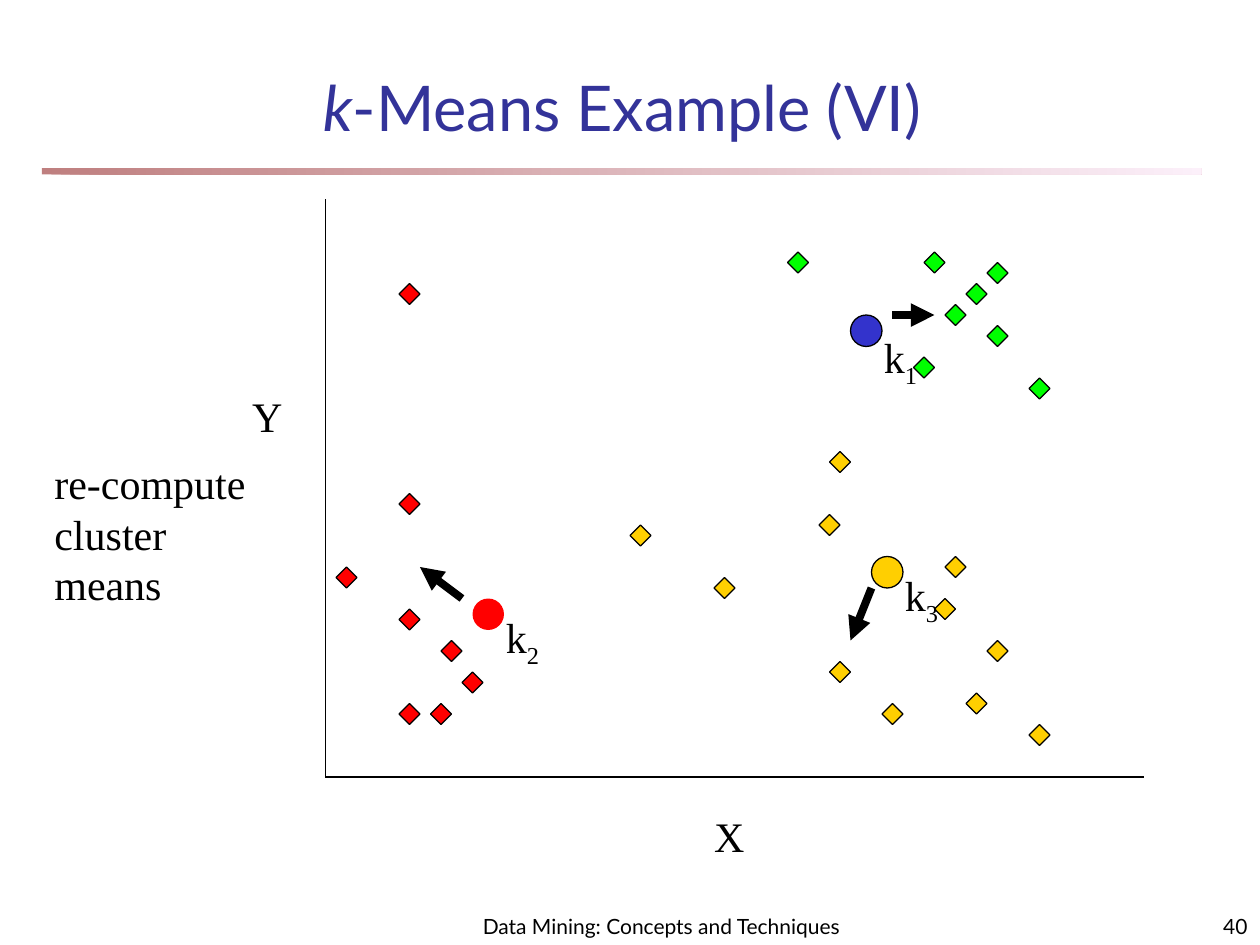
from pptx import Presentation
from pptx.dml.color import RGBColor
from pptx.enum.shapes import MSO_CONNECTOR, MSO_SHAPE
from pptx.enum.text import MSO_ANCHOR, PP_ALIGN
from pptx.oxml.ns import qn
from pptx.util import Pt
from lxml import etree

STRAIGHT = MSO_CONNECTOR.STRAIGHT
RECTANGLE, DIAMOND, OVAL = MSO_SHAPE.RECTANGLE, MSO_SHAPE.DIAMOND, MSO_SHAPE.OVAL
LEFT, CENTER, RIGHT = PP_ALIGN.LEFT, PP_ALIGN.CENTER, PP_ALIGN.RIGHT
TOP, MIDDLE, BOTTOM = MSO_ANCHOR.TOP, MSO_ANCHOR.MIDDLE, MSO_ANCHOR.BOTTOM

SANS, SERIF = "Lato", "Times New Roman"
COLORS = {
    "ink": "000000",
    "title": "333399",
    "rule_start": "800000",
    "rule_end": "FAE2F6",
    "red": "FF0000",
    "green": "00FF00",
    "yellow": "FFCF01",
    "blue": "3333CC",
}
STEP = 6
DIAMOND_SIZE = 2 * STEP
CENTROID_SIZE = 3 * STEP

CLUSTERS = {
    "red": [(11, 42), (13, 45), (10, 48), (7, 39), (7, 8), (7, 28), (7, 48), (1, 35)],
    "green": [(57, 5), (63, 6), (61, 8), (59, 10), (63, 12), (67, 17), (44, 5), (56, 15)],
    "yellow": [(29, 31), (48, 24), (48, 44), (53, 48), (58, 38), (47, 30),
               (37, 36), (63, 42), (61, 47), (59, 34), (67, 50)],
}
SHIFTS = [((13, 38), (9, 35)), ((52, 37), (50, 42)), ((54, 11), (58, 11))]
CENTROIDS = [
    ("1", (50, 11), "blue", "ink", 40),
    ("3", (52, 34), "yellow", "ink", 36),
    ("2", (14, 38), "red", None, 36),
]


def rgb(name):
    return RGBColor.from_string(COLORS[name])


def add_text(slide, box, runs, font=SERIF, size=24, color="ink",
             align=LEFT, anchor=TOP, wrap=True):
    frame = slide.shapes.add_textbox(*map(Pt, box)).text_frame
    frame.word_wrap = wrap
    frame.vertical_anchor = anchor
    paragraph = frame.paragraphs[0]
    paragraph.alignment = align
    for text, style in runs:
        run = paragraph.add_run()
        run.text = text
        run.font.name = font
        run.font.size = Pt(size)
        run.font.color.rgb = rgb(color)
        if style == "italic":
            run.font.italic = True
        elif style == "subscript":
            run._r.get_or_add_rPr().set("baseline", "-25000")


def add_marker(slide, kind, box, fill, outline="ink"):
    marker = slide.shapes.add_shape(kind, *map(Pt, box))
    marker.shadow.inherit = False
    marker.fill.solid()
    marker.fill.fore_color.rgb = rgb(fill)
    if outline:
        marker.line.color.rgb = rgb(outline)
        marker.line.width = Pt(0.75)
    else:
        marker.line.fill.background()


def add_line(slide, start, end, width=0.75, arrow=False):
    connector = slide.shapes.add_connector(STRAIGHT, *map(Pt, (*start, *end)))
    connector.line.color.rgb = rgb("ink")
    connector.line.width = Pt(width)
    if arrow:
        etree.SubElement(connector.line._get_or_add_ln(), qn("a:tailEnd"), type="triangle")
    etree.SubElement(connector._element.spPr, qn("a:effectLst"))


def add_header(slide, box):
    left, top, width, height = box
    rule = slide.shapes.add_shape(RECTANGLE, *map(Pt, (left - 7, top + 81, 662.4, 3.6)))
    rule.shadow.inherit = False
    rule.line.fill.background()
    rule.fill.gradient()
    rule.fill.gradient_angle = 0
    for stop, name in zip(rule.fill.gradient_stops, ("rule_start", "rule_end")):
        stop.color.rgb = rgb(name)
    for color in rule._element.spPr.iter(qn("a:srgbClr")):
        etree.SubElement(color, qn("a:alpha"), val="50000")
    add_text(slide, box, [("k", "italic"), ("-Means Example (VI)", None)],
             font=SANS, size=36, color="title", align=CENTER, anchor=MIDDLE)


def add_footer(slide, box):
    left, top, width, height = box
    footer = {"font": SANS, "size": 12, "anchor": BOTTOM}
    add_text(slide, (left, top, 228, height),
             [("Data Mining: Concepts and Techniques", None)], align=CENTER, **footer)
    add_text(slide, (left + width - 150, top, 150, height),
             [("40", None)], align=RIGHT, **footer)


def add_scatter(slide, box):
    left, top, width, height = box

    def place(cell):
        return left + cell[0] * STEP, top + cell[1] * STEP

    for color, cells in CLUSTERS.items():
        for cell in cells:
            add_marker(slide, DIAMOND, (*place(cell), DIAMOND_SIZE, DIAMOND_SIZE), color)
    for start, end in SHIFTS:
        add_line(slide, place(start), place(end), width=4.5, arrow=True)

    origin = (left, top + height)
    add_line(slide, (left, top), origin)
    add_line(slide, origin, (left + width, top + height))
    add_text(slide, (left + 215, top + height + 15.5, 32, 36), [("X", None)], wrap=False)
    add_text(slide, (left - 49, top + 105.5, 32, 36), [("Y", None)], wrap=False)

    for number, cell, fill, outline, label_height in CENTROIDS:
        x, y = place(cell)
        add_marker(slide, OVAL, (x, y, CENTROID_SIZE, CENTROID_SIZE), fill, outline)
        add_text(slide, (x + 2 * STEP, y + STEP, 42, label_height),
                 [("k", None), (number, "subscript")], anchor=MIDDLE)


def add_step_note(slide, box):
    add_text(slide, box, [("re-compute cluster means", None)])


def main():
    deck = Presentation()
    deck.slide_width, deck.slide_height = Pt(720), Pt(540)
    slide = deck.slides.add_slide(deck.slide_layouts[6])
    add_header(slide, (31, 15, 649, 91))
    add_footer(slide, (264, 510, 456, 30))
    add_scatter(slide, (186, 114, 468, 330))
    add_step_note(slide, (24, 258, 144, 94))
    deck.save("out.pptx")


if __name__ == "__main__":
    main()
